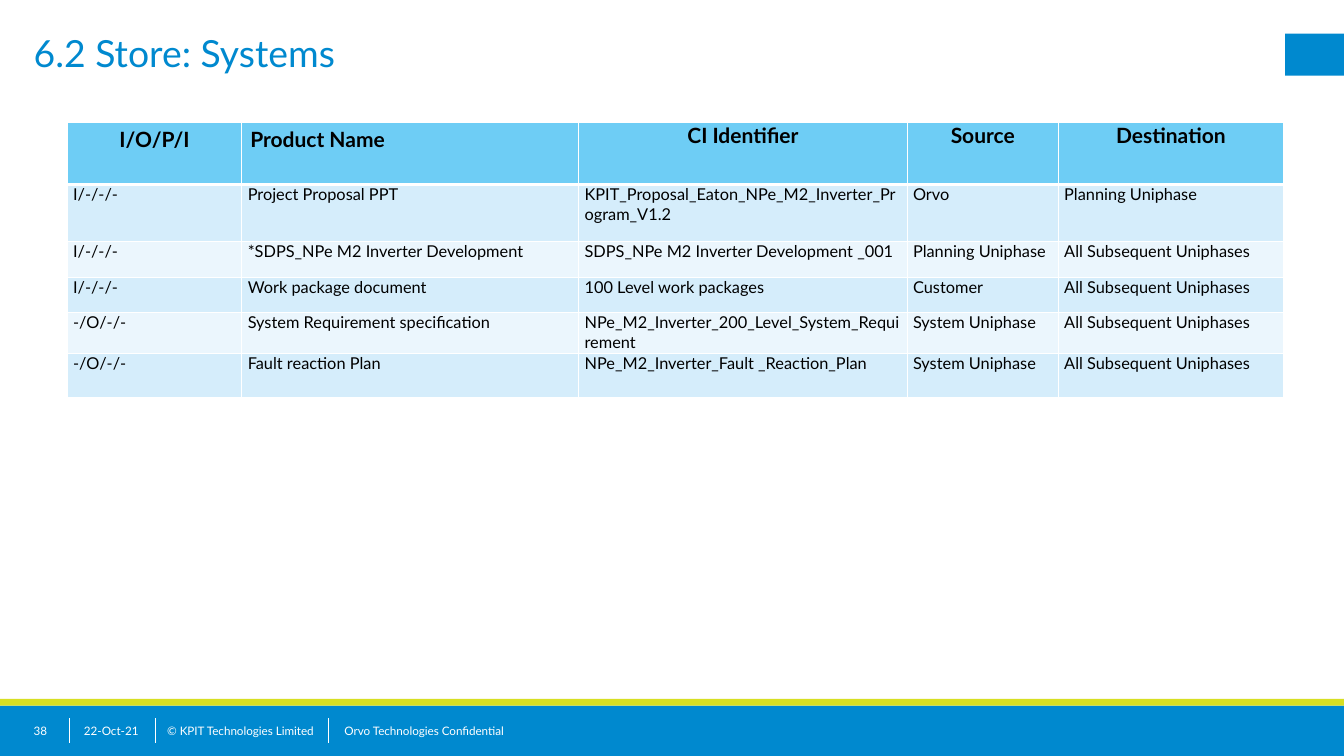
"""Build the systems store slide with its product table and footer."""
import pptx
import pptx.util
import pptx.dml.color
import pptx.enum.shapes
import pptx.enum.text
import pptx.oxml
import pptx.oxml.ns
from lxml import etree

Inches = pptx.util.Inches
Pt = pptx.util.Pt
RGBColor = pptx.dml.color.RGBColor
Align = pptx.enum.text.PP_ALIGN
Anchor = pptx.enum.text.MSO_ANCHOR

BLUE = RGBColor(0x00, 0x89, 0xCF)
LIME = RGBColor(0xD7, 0xDF, 0x23)
WHITE = RGBColor(0xFF, 0xFF, 0xFF)
BLACK = RGBColor(0x00, 0x00, 0x00)
HEADER_FILL = RGBColor(0x6E, 0xCD, 0xF5)
BAND_FILLS = (RGBColor(0xD5, 0xED, 0xFB), RGBColor(0xEB, 0xF6, 0xFD))
FONT = "Lato"

TITLE = "6.2 Store: Systems"
HEADERS = ["I/O/P/I", "Product Name", "CI Identifier", "Source", "Destination"]
PRODUCTS = [
    ("I/-/-/-", "Project Proposal PPT",
     "KPIT_Proposal_Eaton_NPe_M2_Inverter_Program_V1.2", "Orvo", "Planning Uniphase"),
    ("I/-/-/-", "*SDPS_NPe M2 Inverter Development",
     "SDPS_NPe M2 Inverter Development _001", "Planning Uniphase", "All Subsequent Uniphases"),
    ("I/-/-/-", "Work package document",
     "100 Level work packages", "Customer", "All Subsequent Uniphases"),
    ("-/O/-/-", "System Requirement specification",
     "NPe_M2_Inverter_200_Level_System_Requirement", "System Uniphase",
     "All Subsequent Uniphases"),
    ("-/O/-/-", "Fault reaction Plan",
     "NPe_M2_Inverter_Fault _Reaction_Plan", "System Uniphase", "All Subsequent Uniphases"),
]
COLUMN_WIDTHS = [2.08, 4.01, 3.91, 1.8, 2.68]
ROW_HEIGHTS = [0.74, 0.68, 0.42, 0.42, 0.49, 0.52]
BARS = [
    (15.3, 0.4, 0.7, 0.5, BLUE),
    (0, 8.4, 16, 0.6, BLUE),
    (0, 8.32, 16, 0.08, LIME),
]
FOOTER_TOP, FOOTER_HEIGHT = 8.55, 0.3
FOOTER_TEXTS = [
    (0.4, 0.4, "38"),
    (1, 0.8, "22-Oct-21"),
    (1.99, 1.81, "© KPIT Technologies Limited"),
    (4.1, 10.3, "Orvo Technologies Confidential"),
]
FOOTER_DIVIDERS = [0.83, 1.85, 3.91]


def write(frame, text, size, color, bold=False, align=Align.LEFT):
    para = frame.paragraphs[0]
    para.alignment = align
    span = para.add_run()
    span.text = text
    span.font.name = FONT
    span.font.size = Pt(size)
    span.font.bold = bold
    span.font.color.rgb = color


def clear_insets(frame):
    frame.margin_left = frame.margin_right = frame.margin_top = frame.margin_bottom = 0
    frame.word_wrap = True
    frame.auto_size = pptx.enum.text.MSO_AUTO_SIZE.NONE


def add_bar(page, left, top, width, height, color):
    bar = page.shapes.add_shape(pptx.enum.shapes.MSO_SHAPE.RECTANGLE, Inches(left),
                                Inches(top), Inches(width), Inches(height))
    bar.shadow.inherit = False
    bar.fill.solid()
    bar.fill.fore_color.rgb = color
    bar.line.fill.background()


def add_divider(page, left):
    divider = page.shapes.add_connector(
        pptx.enum.shapes.MSO_CONNECTOR.STRAIGHT, Inches(left), Inches(FOOTER_TOP),
        Inches(left), Inches(FOOTER_TOP + FOOTER_HEIGHT))
    divider.line.color.rgb = WHITE
    divider.line.width = Pt(1)
    properties = divider.element.find(pptx.oxml.ns.qn("p:spPr"))
    etree.SubElement(properties, pptx.oxml.ns.qn("a:effectLst"))


def add_footer_text(page, left, width, text):
    box = page.shapes.add_textbox(Inches(left), Inches(FOOTER_TOP),
                                  Inches(width), Inches(FOOTER_HEIGHT))
    clear_insets(box.text_frame)
    box.text_frame.vertical_anchor = Anchor.MIDDLE
    write(box.text_frame, text, 10, WHITE)


def set_borders(cell, row):
    widths = {"L": 1, "R": 1, "T": 3 if row == 1 else 1, "B": 3 if row == 0 else 1}
    namespace = pptx.oxml.ns.nsdecls("a")
    properties = cell._tc.get_or_add_tcPr()
    for side, width in widths.items():
        properties.append(pptx.oxml.parse_xml(
            f'<a:ln{side} {namespace} w="{Pt(width)}"><a:solidFill>'
            f'<a:srgbClr val="{WHITE}"/></a:solidFill></a:ln{side}>'))


def format_cell(cell, row, column, text):
    header = row == 0
    set_borders(cell, row)
    cell.fill.solid()
    cell.fill.fore_color.rgb = HEADER_FILL if header else BAND_FILLS[(row - 1) % 2]
    if not header or column >= 2:
        cell.margin_left = cell.margin_right = Inches(0.07)
        cell.margin_top = cell.margin_bottom = 0
    if header:
        align = Align.LEFT if column == 1 else Align.CENTER
    else:
        align = Align.JUSTIFY
    write(cell.text_frame, text, 18 if header else 14, BLACK, header, align)


def add_product_table(page):
    rows = [HEADERS, *PRODUCTS]
    table = page.shapes.add_table(len(rows), len(HEADERS), Inches(0.8), Inches(1.46),
                                  Inches(sum(COLUMN_WIDTHS)),
                                  Inches(sum(ROW_HEIGHTS))).table
    for column, width in zip(table.columns, COLUMN_WIDTHS):
        column.width = Inches(width)
    for row, height in zip(table.rows, ROW_HEIGHTS):
        row.height = Inches(height)
    for row, texts in enumerate(rows):
        for column, text in enumerate(texts):
            format_cell(table.cell(row, column), row, column, text)


def main():
    deck = pptx.Presentation()
    deck.slide_width, deck.slide_height = Inches(16), Inches(9)
    page = deck.slides.add_slide(deck.slide_layouts.get_by_name("Title Only"))
    for bar in BARS:
        add_bar(page, *bar)
    for left in FOOTER_DIVIDERS:
        add_divider(page, left)
    for footer in FOOTER_TEXTS:
        add_footer_text(page, *footer)
    title = page.shapes.title
    title.left, title.top = Inches(0.4), Inches(0.36)
    title.width, title.height = Inches(14.5), Inches(0.8)
    clear_insets(title.text_frame)
    title.text_frame.vertical_anchor = Anchor.TOP
    write(title.text_frame, TITLE, 32, BLUE)
    add_product_table(page)
    deck.save("out.pptx")


if __name__ == "__main__":
    main()
